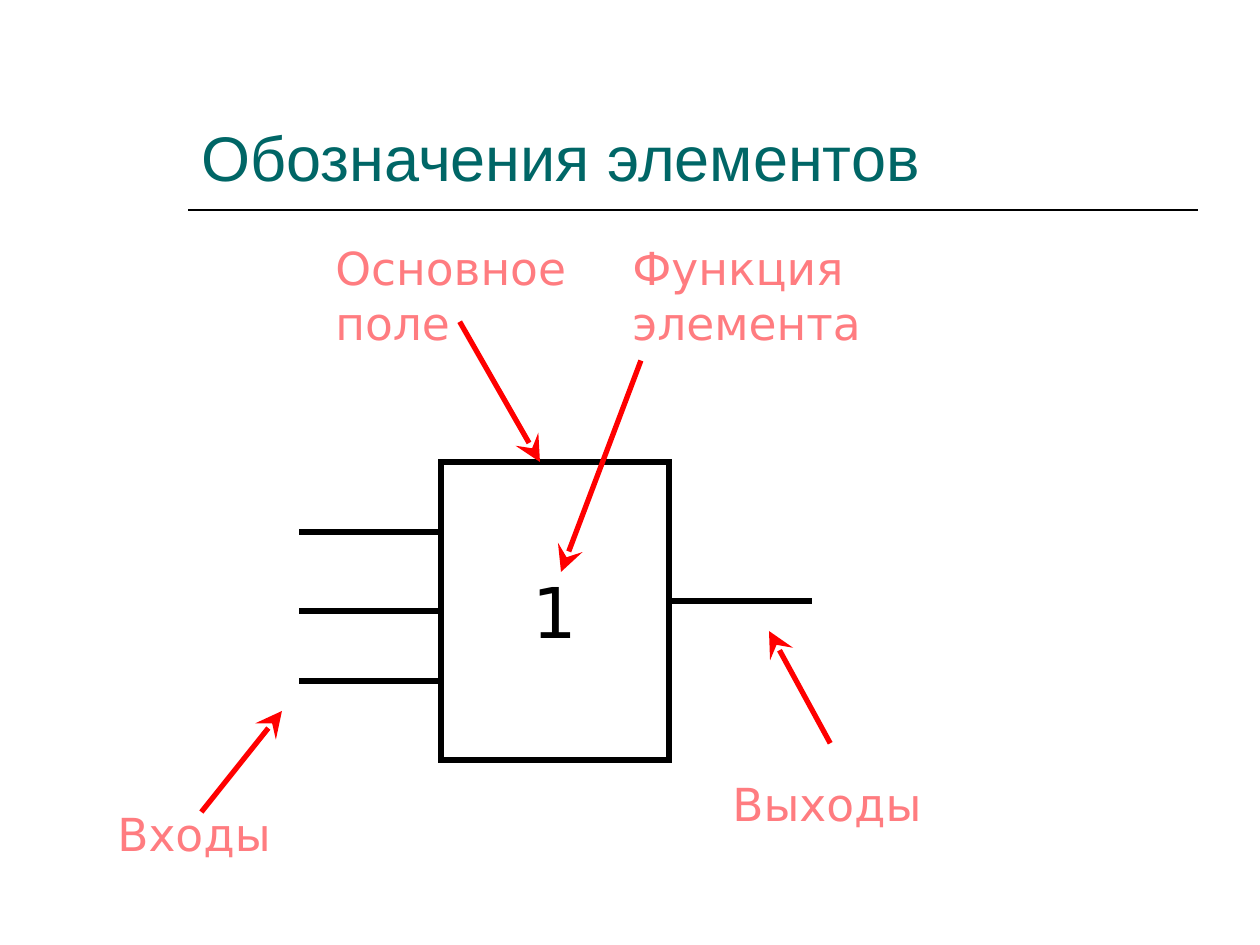
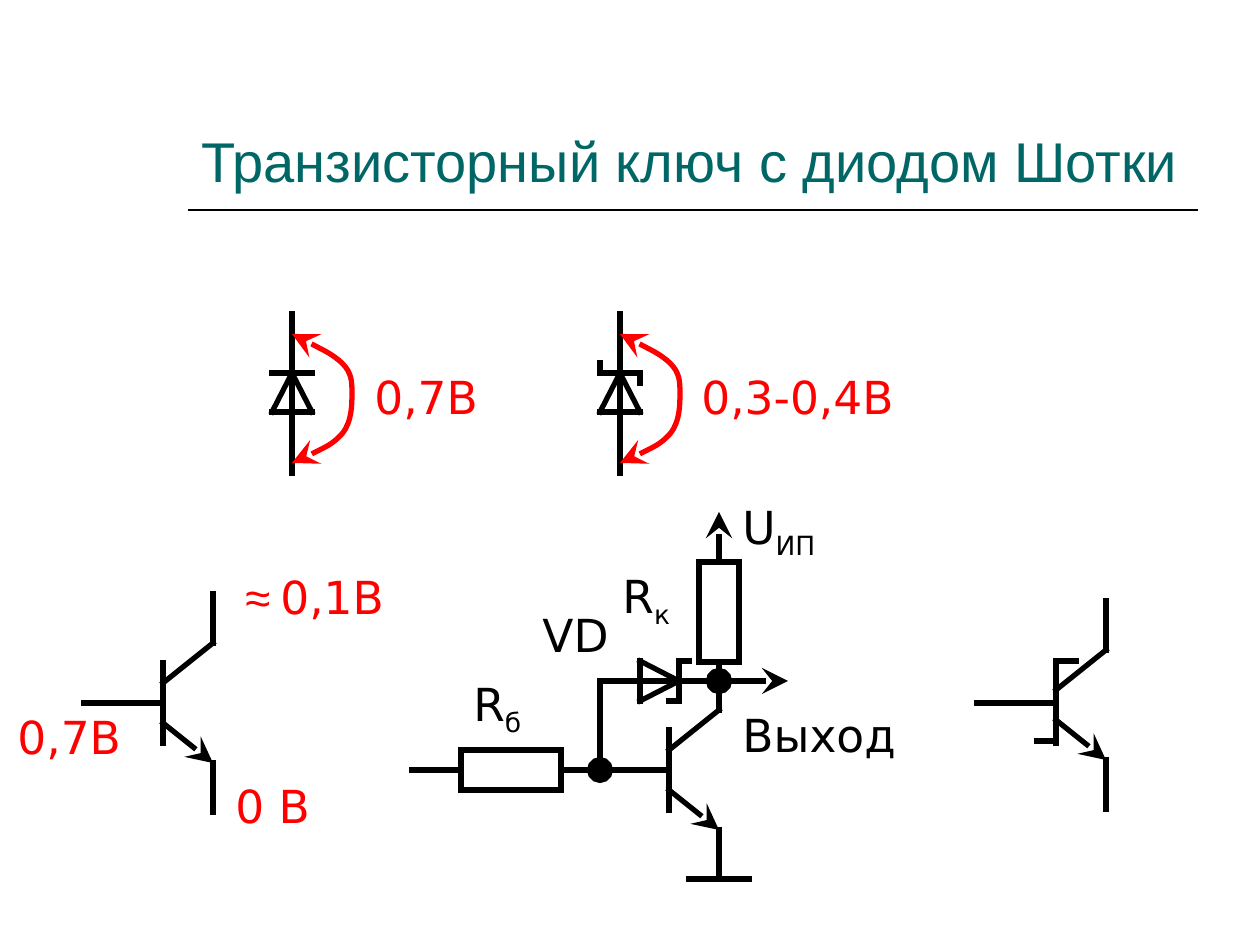
"""Build two slides on logic element notation and the Schottky transistor switch."""
from lxml import etree
from pptx import Presentation
from pptx.dml.color import RGBColor
from pptx.enum.shapes import MSO_CONNECTOR, MSO_SHAPE
from pptx.enum.text import MSO_ANCHOR, PP_ALIGN
from pptx.oxml.ns import qn
from pptx.util import Emu, Pt

STRAIGHT = MSO_CONNECTOR.STRAIGHT
RECTANGLE = MSO_SHAPE.RECTANGLE
TOP, MIDDLE, BOTTOM = MSO_ANCHOR.TOP, MSO_ANCHOR.MIDDLE, MSO_ANCHOR.BOTTOM
LEFT, CENTER = PP_ALIGN.LEFT, PP_ALIGN.CENTER

BLACK = RGBColor(0x00, 0x00, 0x00)
WHITE = RGBColor(0xFF, 0xFF, 0xFF)
TEAL = RGBColor(0x00, 0x66, 0x66)
RED = RGBColor(0xFF, 0x00, 0x00)
PINK = RGBColor(0xFF, 0x7C, 0x80)

TITLE_FONT, BODY_FONT = "Arial", "DejaVu Sans"
SCALE = 914400 / 126
SIDE_TOP, SIDE_LEFT, SIDE_BOTTOM, SIDE_RIGHT = range(4)

ELEMENT = (441, 462, 228, 298)
ELEMENT_LABELS = [
    ("Основное поле", (323, 234, 277, 122)),
    ("Функция элемента", (620, 234, 277, 122)),
    ("Входы", (105, 800, 277, 68)),
    ("Выходы", (720, 770, 278, 68)),
]
POINTERS = [
    ((461, 324), (540, 462)),
    ((640, 363), (561, 572)),
    ((203, 810), (282, 711)),
    ((829, 741), (769, 631)),
]
INPUT_LEFT = 302
OUTER_INPUTS = [532, 681]
OUTPUT = ((669, 601), (809, 601))

SUBSCRIPT = {"baseline": -25000}
CIRCUIT_LABELS = [
    ("0,7В", (362, 363, 159, 68), RED),
    ("0,3-0,4В", (689, 363, 238, 68), RED),
    ("0 В", (223, 772, 159, 68), RED),
    ("0,7В", (5, 703, 159, 68), RED),
    ([("≈", {"font": TITLE_FONT}), (" ", {"size": 18, "color": BLACK}), ("0,1В", {})],
     (233, 563, 228, 68), RED),
    ([("R", {}), ("б", SUBSCRIPT)], (461, 670, 90, 76), BLACK),
    ([("R", {}), ("к", SUBSCRIPT)], (610, 562, 90, 76), BLACK),
    ("VD", (530, 601, 110, 68), BLACK),
    ("Выход", (730, 701, 184, 68), BLACK),
    ([("U", {}), ("ИП", SUBSCRIPT)], (730, 493, 184, 76), BLACK),
]
DIODES = [((292, 373), False), ((620, 373), True)]
VOLTAGE_ARC = [
    (20, 10), (40, 20), (50, 29), (60, 39), (60, 48), (60, 59),
    (60, 71), (60, 88), (50, 100), (40, 111), (9, 126), (0, 129),
]
DIODE_STROKES = [
    ((-20, 0), (20, 0)), ((-20, 39), (20, 39)),
    ((0, 0), (20, 39)), ((0, 0), (-20, 39)),
]
SCHOTTKY_HOOKS = [((20, 0), (20, 10)), ((-20, -10), (-20, 0))]
BASE_RESISTOR = (461, 750, 100, 40)
LOAD_RESISTOR = (699, 562, 40, 100)


def px(value):
    return Emu(round(value * SCALE))


def frame(box):
    return [px(value) for value in box]


def style_line(shape, color=BLACK, width=3, head=None, tail=None):
    shape.line.color.rgb = color
    shape.line.width = Pt(width)
    outline = shape.line._get_or_add_ln()
    outline.set("cap", "sq")
    etree.SubElement(outline, qn("a:miter"), lim="800000")
    for tag, kind in (("a:headEnd", head), ("a:tailEnd", tail)):
        if kind:
            etree.SubElement(outline, qn(tag), type=kind, w="lg", len="lg")


def add_stroke(page, start, end, begin=None, finish=None, **style):
    line = page.shapes.add_connector(STRAIGHT, *frame(start + end))
    if begin:
        line.begin_connect(*begin)
    if finish:
        line.end_connect(*finish)
    style_line(line, **style)
    etree.SubElement(line._element.spPr, qn("a:effectLst"))
    return line


def write(shape, text, size=26, font=BODY_FONT, color=BLACK, anchor=TOP, align=LEFT, wrap=True):
    text_frame = shape.text_frame
    text_frame.word_wrap = wrap
    text_frame.vertical_anchor = anchor
    para = text_frame.paragraphs[0]
    para.alignment = align
    for words, changes in [(text, {})] if isinstance(text, str) else text:
        span = para.add_run()
        span.text = words
        span.font.size = Pt(changes.get("size", size))
        span.font.name = changes.get("font", font)
        span.font.color.rgb = changes.get("color", color)
        if "baseline" in changes:
            span.font._element.set("baseline", str(changes["baseline"]))


def add_text(page, text, box, **style):
    write(page.shapes.add_textbox(*frame(box)), text, **style)


def add_rectangle(page, box):
    shape = page.shapes.add_shape(RECTANGLE, *frame(box))
    shape.shadow.inherit = False
    shape.fill.solid()
    shape.fill.fore_color.rgb = WHITE
    style_line(shape)
    return shape


def add_page(deck, title, size):
    page = deck.slides.add_slide(deck.slide_layouts[6])
    add_stroke(page, (189, 210), (1197, 210), width=1)
    add_text(page, title, (189, 42, 1008, 158), size=size, font=TITLE_FONT, color=TEAL, anchor=BOTTOM)
    return page


def add_voltage_arc(page, x, y):
    builder = page.shapes.build_freeform(x, y, scale=SCALE)
    builder.add_line_segments([(x + dx, y + dy) for dx, dy in VOLTAGE_ARC], close=False)
    arc = builder.convert_to_shape()
    segments = arc._element.xpath(".//a:lnTo")
    for first in range(0, len(segments), 3):
        curve = etree.Element(qn("a:cubicBezTo"))
        segments[first].addprevious(curve)
        for segment in segments[first:first + 3]:
            curve.append(segment[0])
            segment.getparent().remove(segment)
    arc.shadow.inherit = False
    arc.fill.background()
    style_line(arc, RED, head="stealth", tail="stealth")


def add_diode(page, apex, schottky=False, sideways=False):
    x, y = apex

    def place(point):
        across, along = point
        return (x - along, y + across) if sideways else (x + across, y + along)

    for start, end in DIODE_STROKES + (SCHOTTKY_HOOKS if schottky else []):
        add_stroke(page, place(start), place(end))


def add_transistor(page, x, y, collector=20, emitter=20, resistor=None):
    upper, lower = y - collector - 40, y + emitter + 40
    add_stroke(page, (x, y - 40), (x, y + 40))
    add_stroke(page, (x, y - collector), (x + 50, upper))
    add_stroke(page, (x, y + emitter), (x + 50, lower), tail="stealth")
    add_stroke(page, (x + 50, lower), (x + 50, lower + 49))
    joint = (resistor, SIDE_BOTTOM) if resistor else None
    add_stroke(page, (x + 50, upper - 49), (x + 50, upper), begin=joint)


def build_element_page(deck):
    page = add_page(deck, "Обозначения элементов", 36)
    element = add_rectangle(page, ELEMENT)
    write(element, "1", size=40, anchor=MIDDLE, align=CENTER, wrap=False)
    left, top, _, height = ELEMENT
    for y in OUTER_INPUTS:
        add_stroke(page, (INPUT_LEFT, y), (left, y))
    middle = top + height // 2
    add_stroke(page, (INPUT_LEFT, middle), (left, middle), finish=(element, SIDE_LEFT))
    add_stroke(page, *OUTPUT)
    for start, tip in POINTERS:
        add_stroke(page, start, tip, color=RED, tail="stealth")
    for text, box in ELEMENT_LABELS:
        add_text(page, text, box, color=PINK)


def build_switch_page(deck):
    page = add_page(deck, "Транзисторный ключ с диодом Шотки", 32)
    for (x, y), schottky in DIODES:
        add_diode(page, (x, y), schottky)
        add_stroke(page, (x, y - 59), (x, y + 100))
        add_voltage_arc(page, x, y - 39)

    add_transistor(page, 163, 703)
    add_stroke(page, (84, 703), (163, 703))

    base_resistor = add_rectangle(page, BASE_RESISTOR)
    load_resistor = add_rectangle(page, LOAD_RESISTOR)
    add_transistor(page, 669, 770, resistor=load_resistor)
    add_stroke(page, (412, 770), (461, 770), finish=(base_resistor, SIDE_LEFT))
    add_stroke(page, (561, 770), (669, 770), begin=(base_resistor, SIDE_RIGHT))
    add_stroke(page, (719, 512), (719, 562), finish=(load_resistor, SIDE_TOP), head="stealth")
    add_stroke(page, (689, 879), (749, 879))
    add_diode(page, (679, 681), schottky=True, sideways=True)
    add_stroke(page, (600, 681), (719, 681), tail="oval")
    add_stroke(page, (600, 681), (600, 770), tail="oval")
    add_stroke(page, (719, 681), (788, 681), head="oval", tail="stealth")

    add_transistor(page, 1056, 703, collector=13, emitter=17)
    add_stroke(page, (977, 703), (1056, 703))
    add_stroke(page, (1056, 661), (1076, 661))
    add_stroke(page, (1037, 741), (1056, 741))

    for text, box, color in CIRCUIT_LABELS:
        add_text(page, text, box, color=color)


def main():
    deck = Presentation()
    deck.slide_width, deck.slide_height = px(1260), px(945)
    build_element_page(deck)
    build_switch_page(deck)
    deck.save("out.pptx")


if __name__ == "__main__":
    main()
